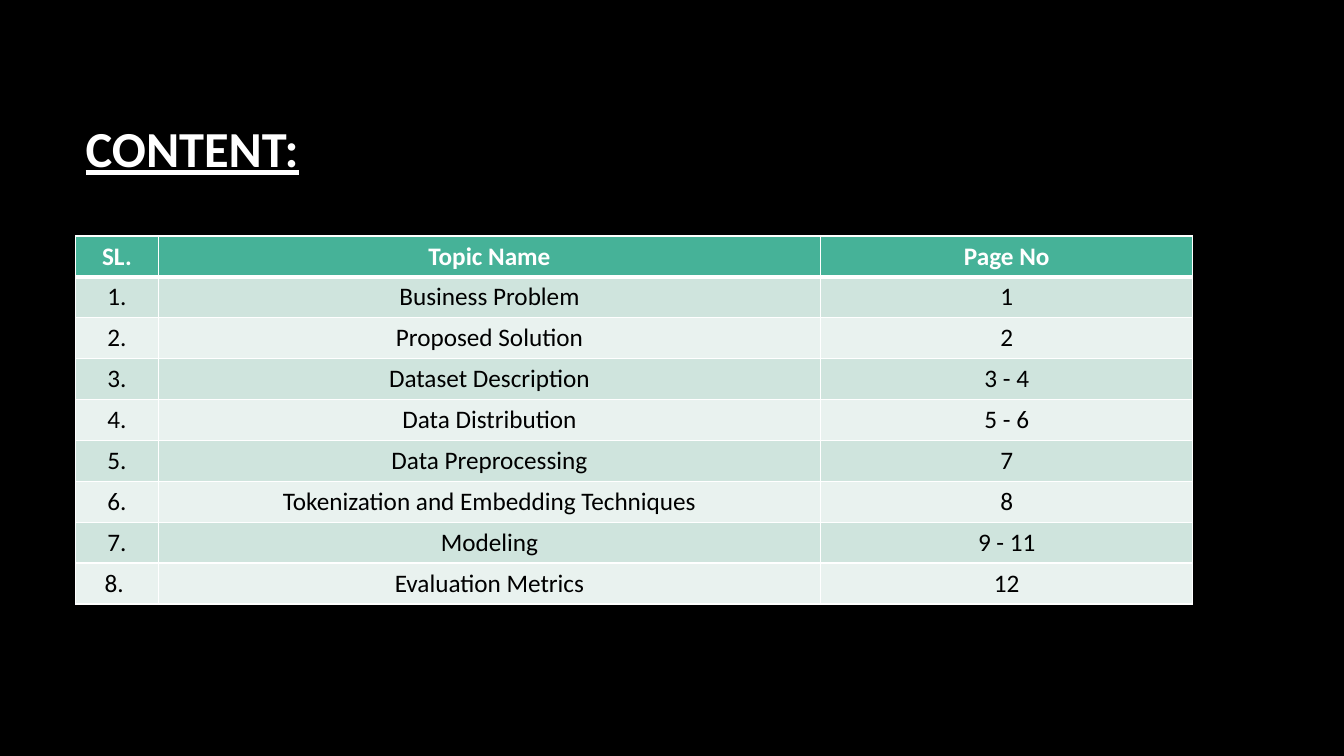
import pptx
import pptx.dml.color
import pptx.enum.text
import pptx.oxml
import pptx.oxml.ns
import pptx.util

COLORS = {
    "background": "000000",
    "light": "FFFFFF",
    "dark": "000000",
    "header": "46B298",
    "band_odd": "CFE4DD",
    "band_even": "E9F2EF",
}
GRID_COLS, GRID_ROWS = 160, 90
TOPICS = [
    ("SL.", "Topic Name", "Page No"),
    ("1.", "Business Problem", "1"),
    ("2.", "Proposed Solution", "2"),
    ("3.", "Dataset Description", "3 - 4"),
    ("4.", "Data Distribution", "5 - 6"),
    ("5.", "Data Preprocessing", "7"),
    ("6.", "Tokenization and Embedding Techniques", "8"),
    ("7.", "Modeling", "9 - 11"),
    ("8. ", "Evaluation Metrics", "12"),
]


def rgb(name):
    return pptx.dml.color.RGBColor.from_string(COLORS[name])


class Deck:
    """Holds the style and the current slide; lengths are grid units."""

    font = "Calibri"

    def __init__(self):
        self.prs = pptx.Presentation()
        self.prs.slide_width = pptx.util.Inches(13.33)
        self.prs.slide_height = pptx.util.Inches(7.5)
        self.slide = None

    def x(self, cols):
        return round(self.prs.slide_width * cols / GRID_COLS)

    def y(self, rows):
        return round(self.prs.slide_height * rows / GRID_ROWS)

    def add_slide(self):
        self.slide = self.prs.slides.add_slide(self.prs.slide_layouts[5])
        fill = self.slide.background.fill
        fill.solid()
        fill.fore_color.rgb = rgb("background")

    def style(self, p, size, color, align, bold=False, underline=None):
        p.alignment = align
        p.font.name = self.font
        p.font.size = pptx.util.Pt(size)
        p.font.color.rgb = rgb(color)
        p.font.bold = bold
        p.font.underline = underline

    def title(self, text, left, top, width, height):
        sp = self.slide.shapes.title
        sp.left, sp.top = self.x(left), self.y(top)
        sp.width, sp.height = self.x(width), self.y(height)
        tf = sp.text_frame
        tf.text = text
        tf.vertical_anchor = pptx.enum.text.MSO_ANCHOR.MIDDLE
        self.style(tf.paragraphs[0], 36, "light",
                   pptx.enum.text.PP_ALIGN.LEFT, bold=True, underline=True)

    def borders(self, cell, top, bottom):
        tc_pr = cell._tc.get_or_add_tcPr()
        for side, points in (("L", 1), ("R", 1), ("T", top), ("B", bottom)):
            tc_pr.append(pptx.oxml.parse_xml(
                f'<a:ln{side} {pptx.oxml.ns.nsdecls("a")} w="{pptx.util.Pt(points)}">'
                f'<a:solidFill><a:srgbClr val="{COLORS["light"]}"/></a:solidFill>'
                f'</a:ln{side}>'))

    def table(self, rows, left, top, widths, row_height):
        table = self.slide.shapes.add_table(
            len(rows), len(widths), self.x(left), self.y(top),
            self.x(sum(widths)), self.y(row_height * len(rows))).table
        for column, width in zip(table.columns, widths):
            column.width = self.x(width)
        for i, row in enumerate(rows):
            table.rows[i].height = self.y(row_height)
            header = i == 0
            band = "header" if header else "band_odd" if i % 2 else "band_even"
            for j, text in enumerate(row):
                cell = table.cell(i, j)
                cell.text = text
                self.style(cell.text_frame.paragraphs[0], 18,
                           "light" if header else "dark",
                           pptx.enum.text.PP_ALIGN.CENTER, bold=header)
                # A thick rule separates the header from the body
                self.borders(cell, 3 if i == 1 else 1, 3 if header else 1)
                cell.fill.solid()
                cell.fill.fore_color.rgb = rgb(band)


def main():
    deck = Deck()
    deck.add_slide()

    # Heading
    deck.title("CONTENT:", 9, 8, 133, 19)

    # Table of contents
    deck.table(TOPICS, 9, 28.1, (9.84, 78.86, 44.3), 4.87)

    deck.prs.save("out.pptx")


if __name__ == "__main__":
    main()
